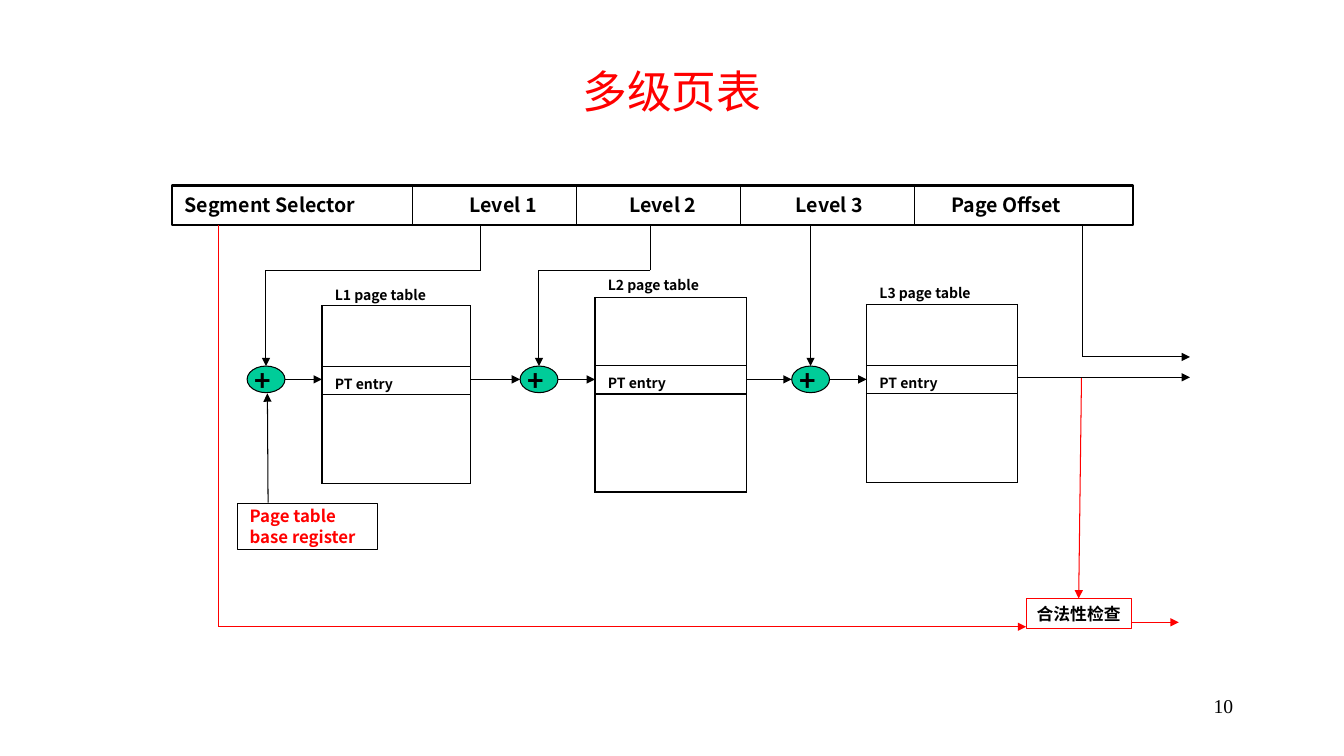
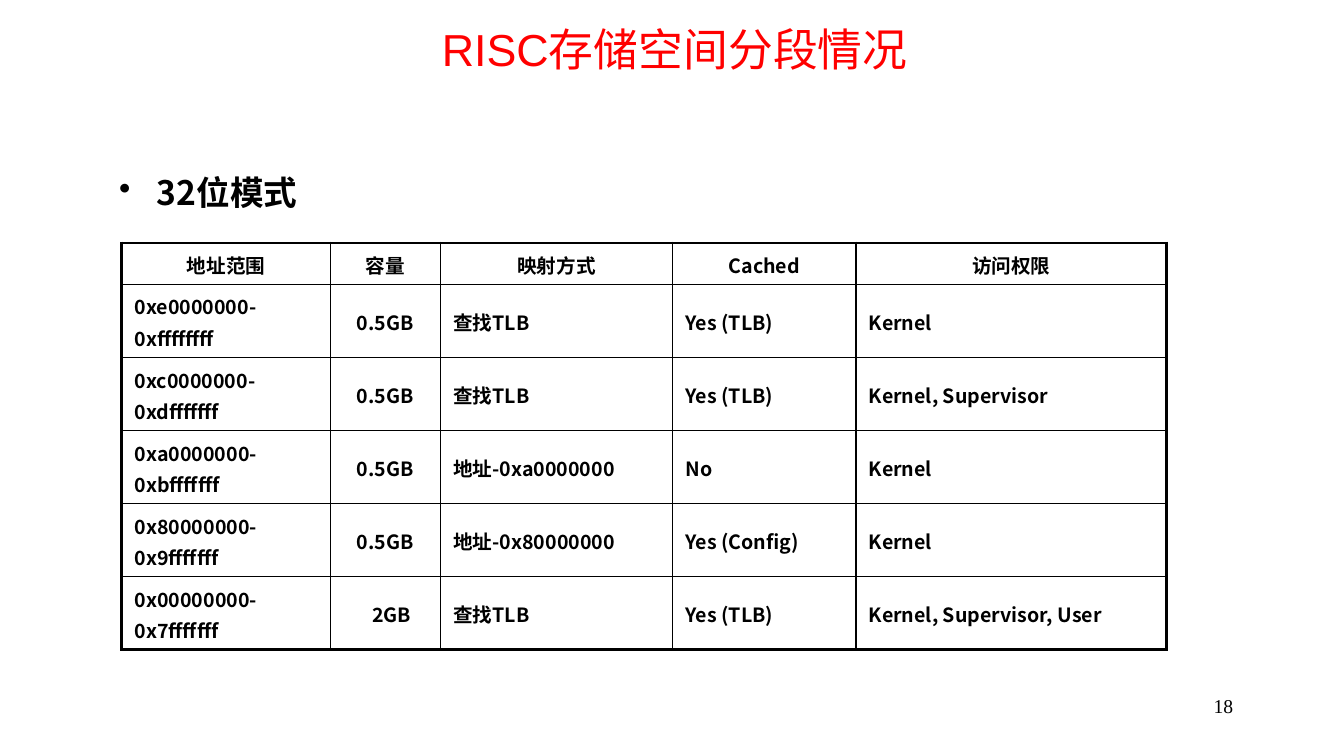
from dataclasses import dataclass
from itertools import pairwise

from lxml.etree import SubElement
from pptx import Presentation
from pptx.dml.color import RGBColor
from pptx.enum.shapes import MSO_CONNECTOR, MSO_SHAPE
from pptx.enum.text import MSO_ANCHOR, PP_ALIGN
from pptx.oxml.ns import qn
from pptx.util import Pt


@dataclass(frozen=True)
class Theme:
    black: RGBColor = RGBColor(0, 0, 0)
    red: RGBColor = RGBColor(255, 0, 0)
    green: RGBColor = RGBColor(0, 204, 153)
    title_font: str = "Arial"
    body_font: str = "Noto Sans CJK SC"
    number_font: str = "Times New Roman"
    title_size: float = 32
    bullet_size: float = 24
    plus_size: float = 20
    body_size: float = 14
    note_size: float = 12
    small_size: float = 10
    thin: float = 0.75
    rule: float = 1
    medium: float = 1.5
    thick: float = 2.25
    label_spacing: float = 1.25
    loose_spacing: float = 1.1


class Deck:
    """Holds the style and the slide being drawn."""

    def __init__(self, theme):
        self.theme = theme
        self.presentation = Presentation()
        self.presentation.slide_width = Pt(960)
        self.presentation.slide_height = Pt(540)
        self.slide = None

    def start_slide(self, title, number, title_left, title_top, title_height):
        theme = self.theme
        self.slide = self.presentation.slides.add_slide(self.presentation.slide_layouts[6])
        self.text(number, 688, 492, 200, 36, theme.body_size, font=theme.number_font,
                  bold=False, align=PP_ALIGN.RIGHT)
        self.text(title, title_left, title_top, 816, title_height, theme.title_size,
                  color=theme.red, font=theme.title_font, bold=False,
                  align=PP_ALIGN.CENTER, anchor=MSO_ANCHOR.MIDDLE)

    def style(self, paragraph, size, color=None, font=None, bold=True,
              align=PP_ALIGN.LEFT, spacing=None):
        paragraph.alignment = align
        if spacing:
            paragraph.line_spacing = spacing
        paragraph.font.size = Pt(size)
        paragraph.font.bold = bold
        paragraph.font.color.rgb = color or self.theme.black
        paragraph.font.name = font or self.theme.body_font
        defaults = paragraph._p.pPr.find(qn("a:defRPr"))
        SubElement(defaults, qn("a:ea")).set("typeface", self.theme.body_font)

    def text(self, words, left, top, width, height, size, insets=(7.2, 3.6),
             anchor=MSO_ANCHOR.TOP, bullet=None, **style):
        box = self.slide.shapes.add_textbox(Pt(left), Pt(top), Pt(width), Pt(height))
        frame = box.text_frame
        frame.word_wrap = True
        frame.vertical_anchor = anchor
        frame.margin_left = frame.margin_right = Pt(insets[0])
        frame.margin_top = frame.margin_bottom = Pt(insets[1])
        paragraph = frame.paragraphs[0]
        paragraph.text = words
        if bullet:
            properties = paragraph._p.get_or_add_pPr()
            properties.set("marL", str(Pt(27)))
            properties.set("indent", str(-Pt(27)))
            SubElement(properties, qn("a:buChar")).set("char", bullet)
        self.style(paragraph, size, **style)

    def label(self, words, left, top, width, size, color=None, insets=(1.4, 0.7)):
        """Tightly set text of a diagram."""
        line = size * self.theme.label_spacing
        self.text(words, left, top, width, line, size, insets, color=color, spacing=Pt(line))

    def shape(self, kind, left, top, width, height, line=None, weight=None, fill=None):
        shape = self.slide.shapes.add_shape(kind, Pt(left), Pt(top), Pt(width), Pt(height))
        shape.shadow.inherit = False
        if fill:
            shape.fill.solid()
            shape.fill.fore_color.rgb = fill
        else:
            shape.fill.background()
        shape.line.color.rgb = line or self.theme.black
        shape.line.width = Pt(weight or self.theme.thin)
        return shape

    def route(self, *points, color=None, arrow=True, target=None):
        """Straight lines through the points; target is a shape entered at its top."""
        for start, end in pairwise(points):
            connector = self.slide.shapes.add_connector(
                MSO_CONNECTOR.STRAIGHT, *(Pt(length) for length in start + end))
            connector.line.color.rgb = color or self.theme.black
            connector.line.width = Pt(self.theme.thin)
            SubElement(connector._element.spPr, qn("a:effectLst"))
        if target:
            connector.end_connect(target, 0)
        if arrow:
            SubElement(connector.line._get_or_add_ln(), qn("a:tailEnd")).set("type", "triangle")

    def table(self, left, top, columns, rows):
        frame = self.slide.shapes.add_table(len(rows), len(columns), Pt(left), Pt(top),
                                            Pt(sum(columns)), Pt(sum(rows)))
        table = frame.table
        table.first_row = table.horz_banding = False
        for column, width in zip(table.columns, columns):
            column.width = Pt(width)
        for row, height in zip(table.rows, rows):
            row.height = Pt(height)
        return table

    def cell(self, cell, words, borders, size, anchor=MSO_ANCHOR.TOP, top=3.6, bottom=3.6,
             extra_left=0, **style):
        """Fill a cell; borders are widths for left, right, top, bottom, with 0 for none."""
        cell.margin_left, cell.margin_right = Pt(9.2 + extra_left), Pt(9.2)
        cell.margin_top, cell.margin_bottom = Pt(top), Pt(bottom)
        cell.vertical_anchor = anchor
        properties = cell._tc.get_or_add_tcPr()
        for side, width in zip(("lnL", "lnR", "lnT", "lnB"), borders):
            line = SubElement(properties, qn(f"a:{side}"), w=str(Pt(width)))
            if width:
                solid = SubElement(line, qn("a:solidFill"))
                SubElement(solid, qn("a:srgbClr")).set("val", str(self.theme.black))
            else:
                SubElement(line, qn("a:noFill"))
        cell.fill.background()
        paragraph = cell.text_frame.paragraphs[0]
        paragraph.text = words
        self.style(paragraph, size, **style)

    def page_table(self, name, left, top, width, rows):
        rule = self.theme.rule
        table = self.table(left, top, [width], rows)
        for index, words in enumerate((name, "", "PT entry", "")):
            borders = (rule,) * 4 if index else (0, 0, 0, rule)
            self.cell(table.cell(index, 0), words, borders, self.theme.small_size,
                      top=5, bottom=0)

    def adder(self, center, middle):
        ellipse = self.shape(MSO_SHAPE.OVAL, center - 13.5, middle - 9.5, 27, 19,
                             fill=self.theme.green)
        self.label("+", center - 8, middle - 12.5, 15, self.theme.plus_size, insets=(0, 0))
        return ellipse


def draw_multilevel_page_table(deck):
    theme = deck.theme
    deck.start_slide("多级页表", "10", 72, 25, 80)

    bar_top, bar_bottom = 132.5, 161
    deck.shape(MSO_SHAPE.RECTANGLE, 123, bar_top, 686, bar_bottom - bar_top, weight=theme.medium)
    fields = [("Segment Selector", 130.5, 161), ("Level 1", 334, 79), ("Level 2", 448, 79),
              ("Level 3", 567, 79), ("Page Offset", 678, 118)]
    for words, left, width in fields:
        deck.label(words, left, 136.5, width, theme.body_size)
    for divider in (294.5, 412, 529, 653):
        deck.route((divider, bar_top), (divider, bar_bottom), arrow=False)

    middle, bend = 271, 193
    short_rows, tall_rows = (20.5, 43.5, 20, 63.5), (21.5, 48.5, 20.5, 70)
    # field x, adder centre, then left, top, width and rows of the page table
    levels = [(343.5, 190, 230, 198, 106, short_rows),
              (464.5, 385, 425, 191, 108, tall_rows),
              (579, 579, 619, 197, 108, short_rows)]
    previous_right = None
    for number, (field, center, left, top, width, rows) in enumerate(levels, 1):
        deck.page_table(f"L{number} page table", left, top, width, rows)
        adder = deck.adder(center, middle)
        entry = (center, middle - 9.5)
        if field == center:
            deck.route((field, bar_bottom), entry, target=adder)
        else:
            deck.route((field, bar_bottom), (field, bend), (center, bend), entry, target=adder)
        deck.route((center + 13.5, middle), (left, middle))
        if previous_right:
            deck.route((previous_right, middle), (center - 13.5, middle))
        previous_right = left + width
    deck.route((previous_right, 269.5), (850, 269.5))
    deck.route((773.5, bar_bottom), (773.5, 255), (850, 255))

    deck.shape(MSO_SHAPE.RECTANGLE, 170, 359.5, 100, 33)
    deck.label("Page table base register", 177, 360, 86, theme.note_size, color=theme.red)
    deck.route((191.5, 359), (191, middle + 10))

    check = deck.shape(MSO_SHAPE.RECTANGLE, 733, 427.5, 75, 21.5, line=theme.red)
    frame = check.text_frame
    frame.margin_left = frame.margin_right = frame.margin_top = frame.margin_bottom = Pt(1)
    frame.vertical_anchor = MSO_ANCHOR.MIDDLE
    frame.text = "合法性检查"
    deck.style(frame.paragraphs[0], theme.note_size, align=PP_ALIGN.CENTER)
    deck.route((155.8, bar_bottom), (155.8, 447.7), (733, 447.7), color=theme.red)
    deck.route((772.5, 270), (770.5, 427.5), color=theme.red, target=check)
    deck.route((808, 444.5), (842, 444.5), color=theme.red)


def draw_address_segments(deck):
    theme = deck.theme
    deck.start_slide("RISC存储空间分段情况", "18", 74, 6, 58)
    deck.text("32位模式", 78, 116.5, 816, 60, theme.bullet_size, bullet="•",
              spacing=theme.loose_spacing)

    rows = [
        ("地址范围", "容量", "映射方式", "Cached", "访问权限"),
        ("0xe0000000-0xffffffff", "0.5GB", "查找TLB", "Yes (TLB)", "Kernel"),
        ("0xc0000000-0xdfffffff", "0.5GB", "查找TLB", "Yes (TLB)", "Kernel, Supervisor"),
        ("0xa0000000-0xbfffffff", "0.5GB", "地址-0xa0000000", "No", "Kernel"),
        ("0x80000000-0x9fffffff", "0.5GB", "地址-0x80000000", "Yes (Config)", "Kernel"),
        ("0x00000000-0x7fffffff", "2GB", "查找TLB", "Yes (TLB)", "Kernel, Supervisor, User"),
    ]
    last_row, last_column = len(rows) - 1, len(rows[0]) - 1
    table = deck.table(87, 173.5, [149, 78.5, 166, 131, 222], [29.5] + [52.2] * last_row)
    for row, values in enumerate(rows):
        for column, words in enumerate(values):
            outer = (column == 0, column == last_column, row == 0, row == last_row)
            deck.cell(table.cell(row, column), words,
                      [theme.thick if edge else theme.rule for edge in outer],
                      theme.body_size,
                      anchor=MSO_ANCHOR.MIDDLE if row and column else MSO_ANCHOR.TOP,
                      extra_left=9 if words == "2GB" else 0,
                      align=PP_ALIGN.CENTER if row == 0 or column == 1 else PP_ALIGN.LEFT,
                      spacing=theme.loose_spacing)


def main():
    deck = Deck(Theme())
    draw_multilevel_page_table(deck)
    draw_address_segments(deck)
    deck.presentation.save("out.pptx")


if __name__ == "__main__":
    main()
